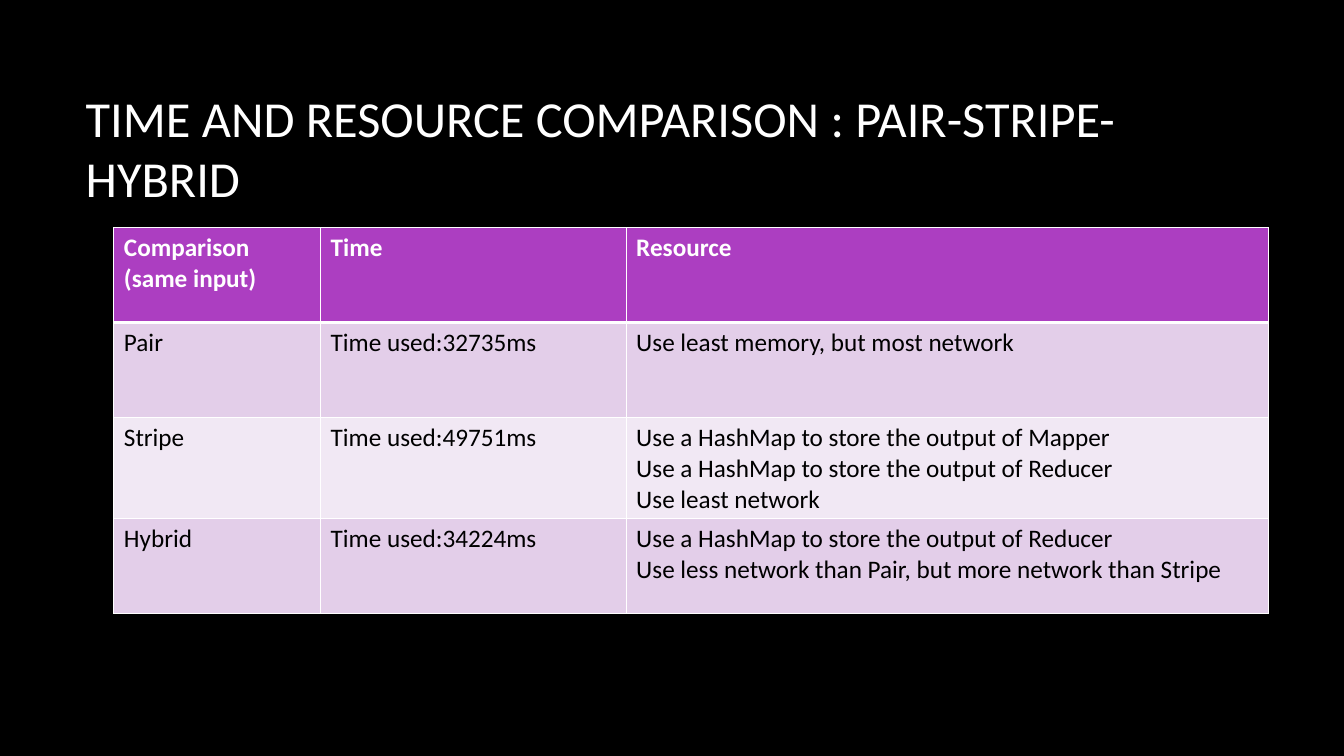
import pptx
import pptx.util
import pptx.dml.color
import pptx.enum.text
import pptx.oxml
import pptx.oxml.ns

Cm = pptx.util.Cm
Pt = pptx.util.Pt


def color(code):
    return pptx.dml.color.RGBColor.from_string(code)


def write(frame, text, size=18, ink="000000", bold=False, anchor="TOP"):
    frame.word_wrap = True
    frame.vertical_anchor = getattr(pptx.enum.text.MSO_ANCHOR, anchor)
    frame.text = text
    for par in frame.paragraphs:
        for run in par.runs:
            run.font.name = "Calibri"
            run.font.size = Pt(size)
            run.font.bold = bold
            run.font.color.rgb = color(ink)


deck = pptx.Presentation()
deck.slide_width = Cm(33.87)
deck.slide_height = Cm(19.05)
slide = deck.slides.add_slide(deck.slide_layouts[6])
slide.background.fill.solid()
slide.background.fill.fore_color.rgb = color("000000")

title = slide.shapes.add_textbox(Cm(1.91), Cm(1.7), Cm(28.15), Cm(4.04))
write(title.text_frame, "TIME AND RESOURCE COMPARISON : PAIR-STRIPE-HYBRID",
      size=36, ink="FFFFFF", anchor="MIDDLE")

rows = [
    ["Comparison\n(same input)", "Time", "Resource"],
    ["Pair", "Time used:32735ms", "Use least memory, but most network"],
    ["Stripe", "Time used:49751ms",
     "Use a HashMap to store the output of Mapper\n"
     "Use a HashMap to store the output of Reducer\n"
     "Use least network"],
    ["Hybrid", "Time used:34224ms",
     "Use a HashMap to store the output of Reducer\n"
     "Use less network than Pair, but more network than Stripe"],
]
widths = [5.21, 7.7, 16.18]
fills = ["AC3EC1", "E3CEE9", "F1E8F4", "E3CEE9"]
high = 2.39

table = slide.shapes.add_table(len(rows), len(widths), Cm(2.87), Cm(5.74),
                               Cm(sum(widths)), Cm(high * len(rows))).table
for col, width in zip(table.columns, widths):
    col.width = Cm(width)

for r, row in enumerate(rows):
    table.rows[r].height = Cm(high)
    head = r == 0
    for c, text in enumerate(row):
        cell = table.cell(r, c)
        write(cell.text_frame, text, ink="FFFFFF" if head else "000000", bold=head)
        props = cell._tc.get_or_add_tcPr()
        for side in "LRTB":
            thick = 3 if (r, side) in [(0, "B"), (1, "T")] else 1
            props.append(pptx.oxml.parse_xml(
                f'<a:ln{side} {pptx.oxml.ns.nsdecls("a")} w="{Pt(thick)}"><a:solidFill>'
                f'<a:srgbClr val="FFFFFF"/></a:solidFill></a:ln{side}>'))
        cell.fill.solid()
        cell.fill.fore_color.rgb = color(fills[r])

deck.save("out.pptx")
